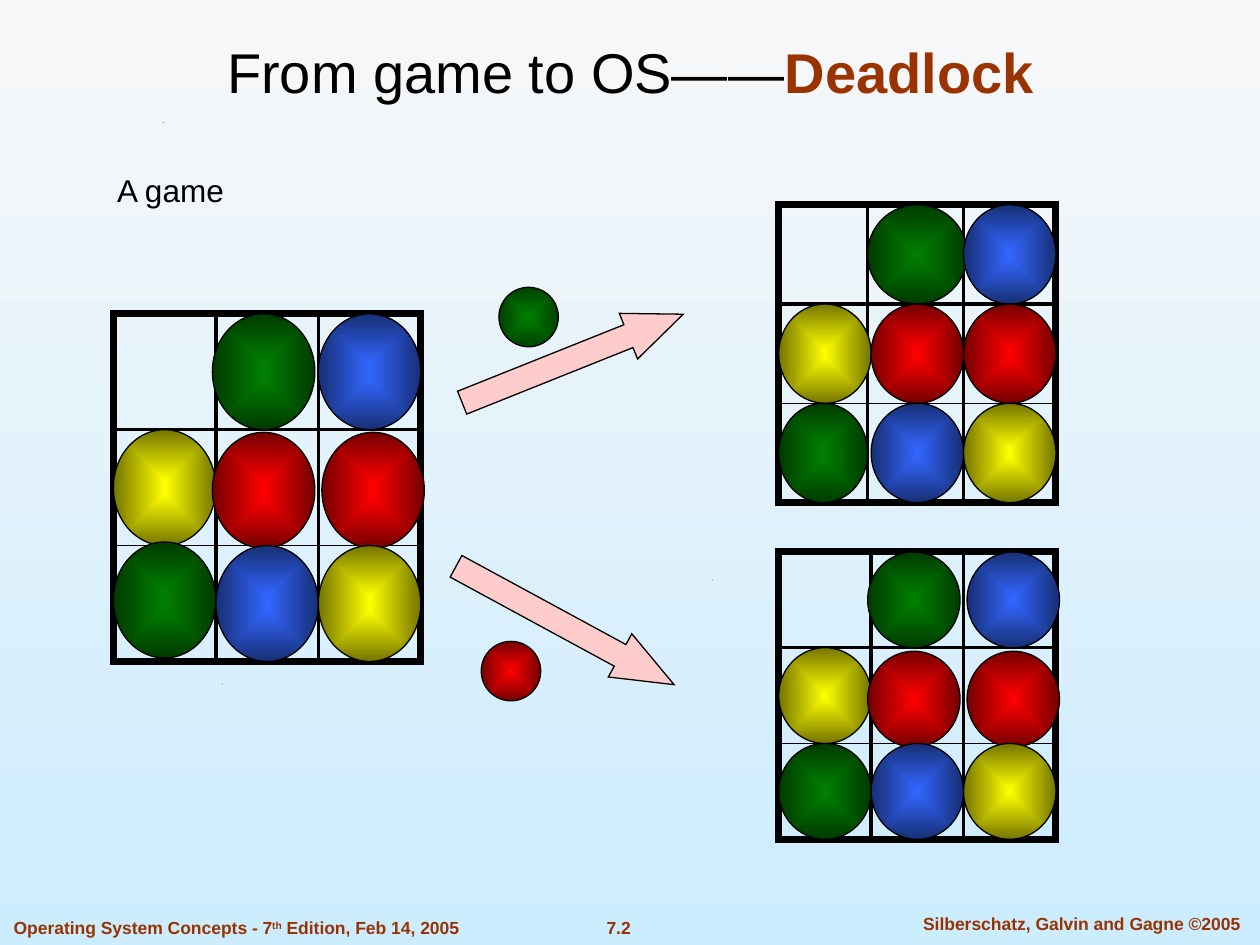
from dataclasses import dataclass, field
from lxml.etree import SubElement
from pptx import Presentation
from pptx.dml.color import RGBColor
from pptx.enum.shapes import MSO_CONNECTOR as Connector, MSO_SHAPE as Shape
from pptx.enum.text import MSO_ANCHOR as Anchor, PP_ALIGN as Align
from pptx.oxml.ns import qn
from pptx.util import Pt


@dataclass(frozen=True)
class Theme:
    font: str = "Arial"
    ink: str = "000000"
    accent: str = "993300"
    arrow: str = "FFCCCC"
    sky: tuple = ("F8F8F8", "CCECFF")
    green: tuple = ("008000", "003B00")
    blue: tuple = ("3366FF", "172F75")
    red: tuple = ("FF0000", "750000")
    yellow: tuple = ("FFFF00", "757500")
    title_size: float = 32
    label_size: float = 18
    footer_size: float = 10
    thin: float = 0.75
    medium: float = 2
    thick: float = 4


@dataclass(frozen=True)
class Span:
    text: str
    size: float
    color: str
    bold: bool = False
    raised: bool = False


@dataclass(frozen=True)
class Nudge:
    right: float = 0
    down: float = 0
    widen: float = 0


@dataclass(frozen=True)
class Board:
    left: float
    top: float
    width: float
    height: float
    nudges: dict = field(default_factory=dict)
    first_divider_shift: float = 0


@dataclass(frozen=True)
class Move:
    left: float
    top: float
    width: float
    height: float
    angle: float
    head: float


THEME = Theme()
BALLS = (
    (None, THEME.green, THEME.blue),
    (THEME.yellow, THEME.red, THEME.red),
    (THEME.green, THEME.blue, THEME.yellow),
)
BOARDS = (
    Board(64.8, 179.3, 175.7, 198.7, {
        (0, 1): Nudge(-2), (1, 1): Nudge(-2, 1.5),
        (1, 2): Nudge(2, 1.5), (2, 0): Nudge(0, -2)}),
    Board(445, 117, 158.4, 170.2, {
        (0, 1): Nudge(-2, 0, 4), (2, 0): Nudge(0, 0, -2)}, -2),
    Board(445, 315.4, 158.4, 164.2, {
        (0, 1): Nudge(-2), (0, 2): Nudge(2),
        (1, 1): Nudge(-2, 2), (1, 2): Nudge(2, 2)}),
)
SPECKS = ((126.7, 390.6), (93.6, 331.2), (406.8, 331.2), (92.9, 69.8))


def rgb(color: str) -> RGBColor:
    return RGBColor.from_string(color)


def set_gradient(fill, colors: tuple) -> None:
    fill.gradient()
    for stop, color, position in zip(fill.gradient_stops, colors, (0, 1)):
        stop.color.rgb = rgb(color)
        stop.position = position


def set_outline(shape, weight: float) -> None:
    shape.shadow.inherit = False
    shape.line.color.rgb = rgb(THEME.ink)
    shape.line.width = Pt(weight)
    outline = shape._element.spPr.find(qn("a:ln"))
    SubElement(outline, qn("a:miter"), {"lim": "800000"})


def add_text(page, left: float, top: float, width: float, height: float,
             spans: list[Span], align=Align.LEFT, anchor=Anchor.TOP) -> None:
    box = page.shapes.add_textbox(Pt(left), Pt(top), Pt(width), Pt(height))
    frame = box.text_frame
    frame.word_wrap = True
    frame.vertical_anchor = anchor
    para = frame.paragraphs[0]
    para.alignment = align
    for span in spans:
        run = para.add_run()
        run.text = span.text
        run.font.name = THEME.font
        run.font.size = Pt(span.size)
        run.font.bold = span.bold
        run.font.color.rgb = rgb(span.color)
        if span.raised:
            run.font._element.set("baseline", "30000")


def add_ball(page, left: float, top: float, width: float, height: float, colors: tuple):
    ball = page.shapes.add_shape(Shape.OVAL, Pt(left), Pt(top), Pt(width), Pt(height))
    set_gradient(ball.fill, colors)
    set_outline(ball, THEME.thin)
    gradient = ball._element.spPr.find(qn("a:gradFill"))
    gradient.remove(gradient.find(qn("a:lin")))
    focus = SubElement(gradient, qn("a:path"), {"path": "rect"})
    SubElement(focus, qn("a:fillToRect"), dict.fromkeys("ltrb", "50000"))
    return ball


def add_divider(page, x1: float, y1: float, x2: float, y2: float, weight: float) -> None:
    divider = page.shapes.add_connector(Connector.STRAIGHT, Pt(x1), Pt(y1), Pt(x2), Pt(y2))
    divider.line.color.rgb = rgb(THEME.ink)
    divider.line.width = Pt(weight)
    SubElement(divider._element.spPr, qn("a:effectLst"))


def add_board(page, board: Board) -> None:
    frame = page.shapes.add_shape(
        Shape.RECTANGLE, Pt(board.left), Pt(board.top), Pt(board.width), Pt(board.height))
    frame.fill.background()
    set_outline(frame, THEME.thick)
    cell_width, cell_height = board.width / 3, board.height / 3
    right, bottom = board.left + board.width, board.top + board.height
    for step, weight in ((1, THEME.medium), (2, THEME.thin)):
        y = board.top + step * cell_height
        add_divider(page, board.left, y, right, y, weight)
    for step, shift in ((1, board.first_divider_shift), (2, 0)):
        x = board.left + step * cell_width + shift
        add_divider(page, x, board.top, x, bottom, THEME.medium)
    for row, row_colors in enumerate(BALLS):
        for column, colors in enumerate(row_colors):
            if colors:
                nudge = board.nudges.get((row, column), Nudge())
                add_ball(page, board.left + column * cell_width + nudge.right,
                         board.top + row * cell_height + nudge.down,
                         cell_width + nudge.widen, cell_height, colors)


def add_move(page, move: Move) -> None:
    arrow = page.shapes.add_shape(
        Shape.RIGHT_ARROW, Pt(move.left), Pt(move.top), Pt(move.width), Pt(move.height))
    arrow.adjustments[0] = 0.5
    arrow.adjustments[1] = move.head
    arrow.rotation = move.angle
    arrow.fill.solid()
    arrow.fill.fore_color.rgb = rgb(THEME.arrow)
    set_outline(arrow, THEME.thin)


def add_speck(page, left: float, top: float) -> None:
    builder = page.shapes.build_freeform(Pt(left), Pt(top + 0.5))
    builder.add_line_segments([(Pt(left + 0.7), Pt(top)), (Pt(left + 0.4), Pt(top + 0.5))])
    speck = builder.convert_to_shape()
    speck.shadow.inherit = False
    speck.fill.solid()
    speck.fill.fore_color.rgb = rgb(THEME.ink)
    speck.line.fill.background()


def footer(text: str, raised: bool = False) -> Span:
    return Span(text, THEME.footer_size, THEME.accent, True, raised)


def main() -> None:
    deck = Presentation()
    deck.slide_width, deck.slide_height = Pt(720), Pt(540)
    page = deck.slides.add_slide(deck.slide_layouts[6])
    set_gradient(page.background.fill, THEME.sky)
    page.background.fill.gradient_angle = 270
    for left, top in SPECKS:
        add_speck(page, left, top)
    add_text(page, 318.2, 520.6, 70.6, 19.4, [footer("7.2")], Align.CENTER)
    add_text(page, 511.2, 518.4, 213.8, 19.4,
             [footer("Silberschatz, Galvin and Gagne ©2005")], Align.CENTER)
    add_text(page, 0.7, 520.6, 290, 19.4, [
        footer("Operating System Concepts - 7"), footer("th", True),
        footer(" Edition, Feb 14, 2005")])
    add_text(page, 42.5, 15.1, 635.8, 48.2, [
        Span("From game to OS——", THEME.title_size, THEME.ink),
        Span("Deadlock", THEME.title_size, THEME.accent, True)], Align.CENTER, Anchor.BOTTOM)
    for board in BOARDS:
        add_board(page, board)
    add_move(page, Move(259.2, 190.8, 136.1, 28.1, 338.2, 1.2))
    add_ball(page, 285.1, 164.2, 34, 34, THEME.green).rotation = 354.4
    add_move(page, Move(252, 343.4, 141.8, 28.1, 28.5, 1.25))
    add_ball(page, 275, 366.5, 34, 34, THEME.red)
    add_text(page, 59.8, 94.3, 187.2, 28.8, [Span("A game", THEME.label_size, THEME.ink)])
    deck.save("out.pptx")


if __name__ == "__main__":
    main()
